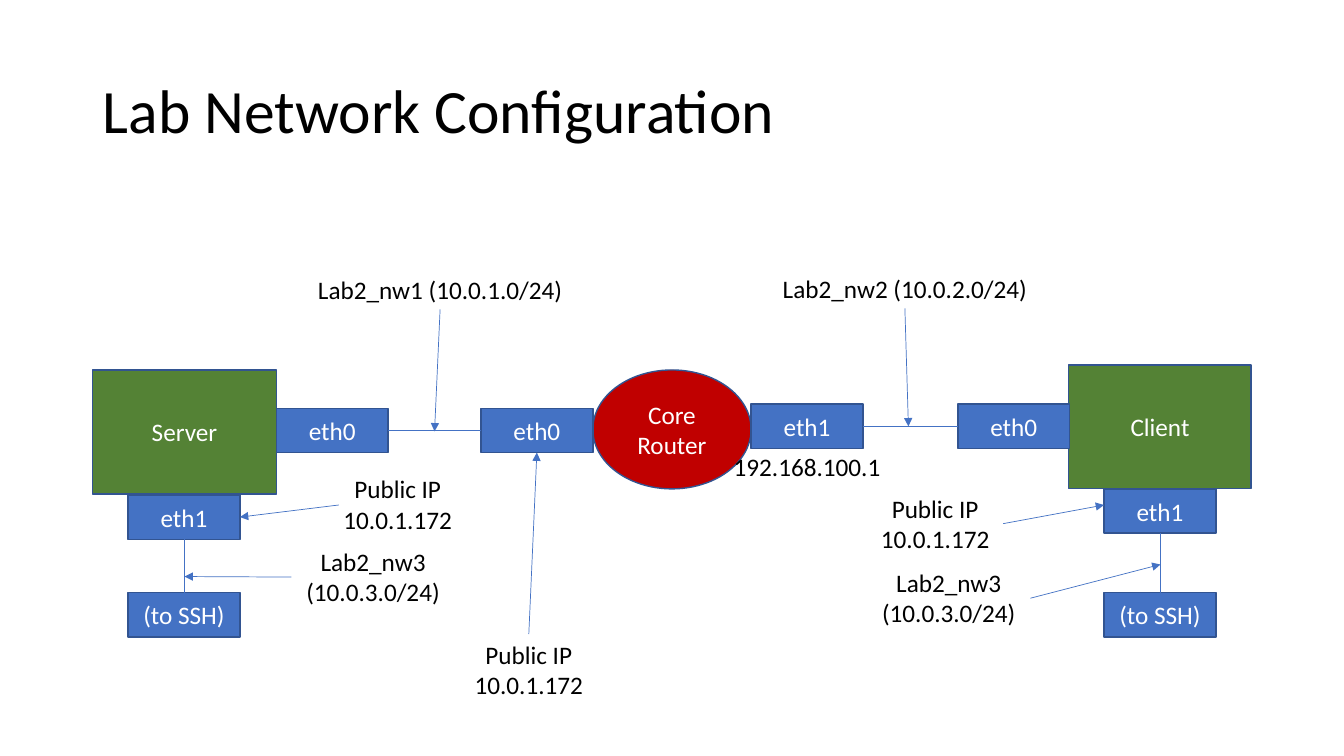
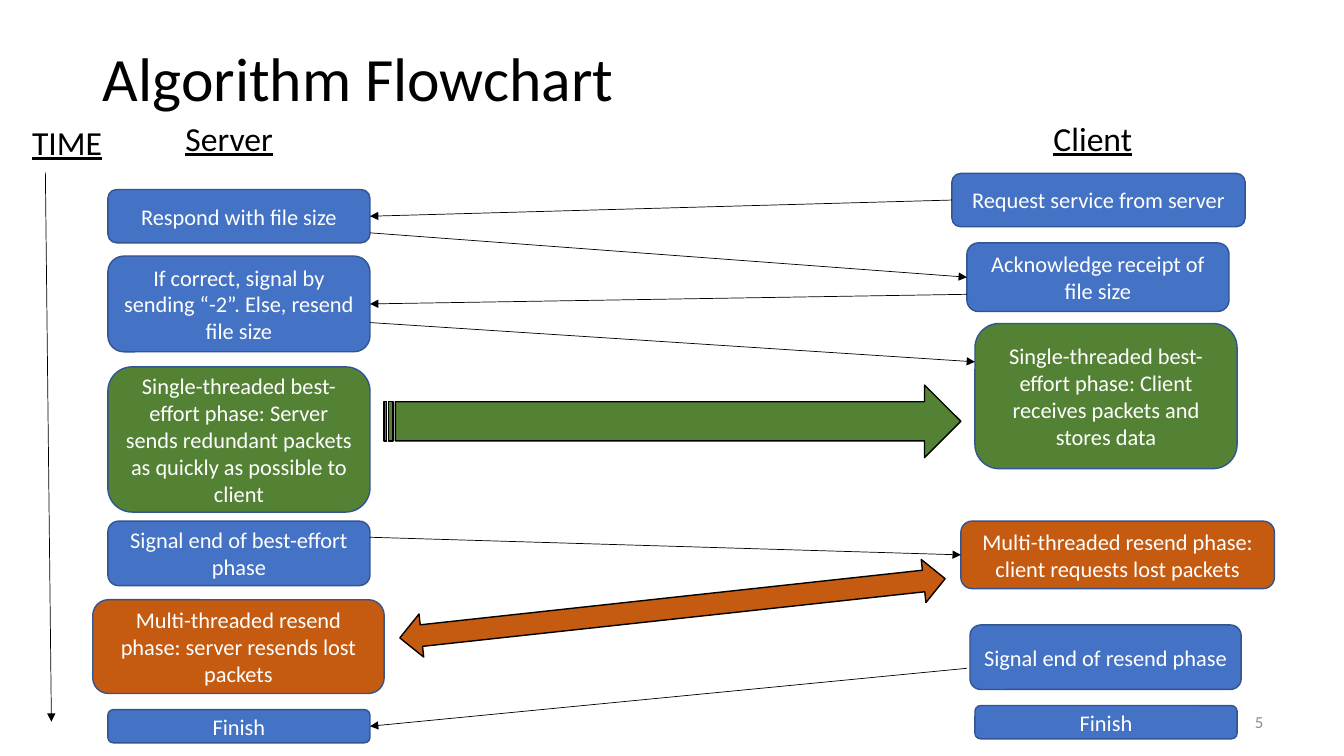
"""Builds two slides: a lab network diagram and a transfer flowchart."""
import lxml.etree
import pptx
import pptx.dml.color
import pptx.enum.shapes
import pptx.enum.text
import pptx.oxml.ns
import pptx.shapes.base
import pptx.util

Inches, Pt = pptx.util.Inches, pptx.util.Pt
KIND = pptx.enum.shapes.MSO_SHAPE
ALIGN = pptx.enum.text.PP_ALIGN
ANCHOR = pptx.enum.text.MSO_ANCHOR
FIT = pptx.enum.text.MSO_AUTO_SIZE
BLUE, GREEN, ORANGE, RED = "4472C4", "548235", "C55A11", "C00000"
EDGE, BLACK, WHITE, GREY = "325491", "000000", "FFFFFF", "8C8C8C"
FACE = "Calibri"
TOP, LEFT, BOTTOM, RIGHT = range(4)


def paint(color, code):
    """Set a colour format from a hex string."""
    color.rgb = pptx.dml.color.RGBColor.from_string(code)


def put(target, values):
    """Set each named value on the target."""
    for name, value in values.items():
        setattr(target, name, value)


def place(at):
    """Turn left, top, width and height into lengths."""
    return [Inches(side) for side in at]


def write(shape, text, size, code, align, frame, font=None, space=None):
    """Fill a shape with formatted text."""
    put(shape.text_frame, {"word_wrap": True, "text": text, **frame})
    for para in shape.text_frame.paragraphs:
        put(para, {"alignment": align, "line_spacing": space})
        for run in para.runs:
            put(run.font, {"name": FACE, "size": Pt(size), **(font or {})})
            paint(run.font.color, code)


def start(deck, text, top):
    """Add a slide with its title."""
    slide = deck.slides.add_slide(deck.slide_layouts[5])
    title = slide.shapes.title
    put(title, dict(zip(("left", "top", "width", "height"),
                        place((0.92, top, 11.5, 1.45)))))
    frame = {"vertical_anchor": ANCHOR.MIDDLE, "auto_size": FIT.NONE}
    write(title, text, 44, BLACK, ALIGN.LEFT, frame, space=0.9)
    return slide


def draw(slide, kind, at, fill, edge=EDGE):
    """Add a filled and outlined preset shape."""
    shape = slide.shapes.add_shape(kind, *place(at))
    shape.shadow.inherit = False
    shape.fill.solid()
    paint(shape.fill.fore_color, fill)
    paint(shape.line.color, edge)
    shape.line.width = Pt(1)
    return shape


def box(slide, text, at, fill=BLUE, size=18, kind=KIND.RECTANGLE):
    """Add a shape with white centred text."""
    shape = draw(slide, kind, at, fill)
    write(shape, text, size, WHITE, ALIGN.CENTER,
          {"vertical_anchor": ANCHOR.MIDDLE})
    return shape


def label(slide, text, at, size=18, align=ALIGN.CENTER, code=BLACK,
          anchor=ANCHOR.TOP, font=None):
    """Add a text box."""
    shape = slide.shapes.add_textbox(*place(at))
    write(shape, text, size, code, align, {"vertical_anchor": anchor}, font)
    return shape


def link(slide, tail, head, code=BLUE, arrow=True):
    """Join two ends, each a point or a shape with a side."""
    ends = (tail, head)
    joint = [isinstance(end[0], pptx.shapes.base.BaseShape) for end in ends]
    spots = [(0, 0) if is_joint else end for end, is_joint in zip(ends, joint)]
    line = slide.shapes.add_connector(
        pptx.enum.shapes.MSO_CONNECTOR.STRAIGHT, *place(spots[0] + spots[1]))
    joins = (line.begin_connect, line.end_connect)
    for join, end, is_joint in zip(joins, ends, joint):
        if is_joint:
            join(*end)
    paint(line.line.color, code)
    line.line.width = Pt(0.5)
    qn = pptx.oxml.ns.qn
    props = line.element.spPr
    if arrow:
        lxml.etree.SubElement(props.find(qn("a:ln")), qn("a:tailEnd"),
                              type="triangle")
    lxml.etree.SubElement(props, qn("a:effectLst"))


def network(deck):
    """Build the network diagram."""
    slide = start(deck, "Lab Network Configuration", 0.4)
    box(slide, "Core Router", (5.88, 3.67, 1.57, 1.18), RED, kind=KIND.OVAL)
    box(slide, "Server", (0.92, 3.67, 1.82, 1.23), GREEN)
    box(slide, "Client", (10.6, 3.62, 1.81, 1.23), GREEN)
    ports = [("eth0", 2.74, 4.05), ("eth0", 4.77, 4.05), ("eth1", 7.45, 4.01),
             ("eth0", 9.5, 4.01), ("eth1", 1.27, 4.91), ("eth1", 10.95, 4.85),
             ("(to SSH)", 1.27, 5.88), ("(to SSH)", 10.95, 5.88)]
    near, west, east, far, down, drop, ssh, exit_ = [
        box(slide, text, (x, y, 1.11, 0.44)) for text, x, y in ports]
    for one, side, two, face in [(near, RIGHT, west, LEFT),
                                 (east, RIGHT, far, LEFT),
                                 (down, BOTTOM, ssh, TOP),
                                 (drop, BOTTOM, exit_, TOP)]:
        link(slide, (one, side), (two, face), arrow=False)
    public, lab = "Public IP\n10.0.1.172", "Lab2_nw3 (10.0.3.0/24)"
    notes = [("Lab2_nw1 (10.0.1.0/24)", (2.74, 2.67, 3.25, 0.4)),
             ("Lab2_nw2 (10.0.2.0/24)", (7.35, 2.66, 3.25, 0.4)),
             ("192.168.100.1", (6.38, 4.43, 3.25, 0.4)),
             (public, (4.43, 6.29, 1.63, 0.71)),
             (public, (3.13, 4.65, 1.63, 0.71)),
             (public, (8.6, 4.84, 1.35, 0.71)),
             (lab, (2.89, 5.37, 1.62, 0.71)),
             (lab, (8.6, 5.58, 1.62, 0.71))]
    net, net2, _, low, _, right, lab, lab2 = [
        label(slide, text, at) for text, at in notes]
    for tail, head in [((net, BOTTOM), (4.31, 4.28)),
                       ((net2, BOTTOM), (9.01, 4.23)),
                       ((low, TOP), (west, BOTTOM)),
                       ((3.36, 5.01), (down, RIGHT)),
                       ((right, RIGHT), (10.95, 5.01)),
                       ((lab, LEFT), (1.83, 5.72)),
                       ((lab2, RIGHT), (11.51, 5.6))]:
        link(slide, tail, head)


def flow(deck):
    """Build the algorithm flowchart."""
    slide = start(deck, "Algorithm Flowchart", 0.08)
    for text, x, y in [("Client", 10.35, 1.12), ("Server", 1.74, 1.12),
                       ("TIME", 0.22, 1.16)]:
        label(slide, text, (x, y, 1.09, 0.5), 24, ALIGN.LEFT,
              font={"underline": True})
    steps = [
        ("Respond with file size", (1.07, 1.88, 2.6, 0.53), BLUE),
        ("If correct, signal by sending “-2”. Else, resend file size",
         (1.07, 2.54, 2.6, 0.95), BLUE),
        ("Single-threaded best-effort phase: Server sends redundant packets "
         "as quickly as possible to client", (1.07, 3.64, 2.6, 1.44), GREEN),
        ("Signal end of best-effort phase", (1.07, 5.17, 2.6, 0.64), BLUE),
        ("Multi-threaded resend phase: server resends lost packets",
         (0.92, 5.95, 2.89, 0.93), ORANGE),
        ("Finish", (1.07, 7.04, 2.6, 0.33), BLUE),
        ("Request service from server", (9.44, 1.72, 2.91, 0.53), BLUE),
        ("Acknowledge receipt of file size", (9.59, 2.41, 2.6, 0.68), BLUE),
        ("Single-threaded best-effort phase: Client receives packets and "
         "stores data", (9.67, 3.21, 2.6, 1.44), GREEN),
        ("Multi-threaded resend phase: client requests lost packets",
         (9.53, 5.17, 3.11, 0.67), ORANGE),
        ("Signal end of resend phase", (9.62, 6.2, 2.69, 0.64), BLUE),
        ("Finish", (9.67, 7, 2.6, 0.33), BLUE)]
    reply, check, _, _, _, done, ask, ack, _, resend, _, _ = [
        box(slide, text, at, fill, 16, KIND.ROUNDED_RECTANGLE)
        for text, at, fill in steps]
    for tail, head in [((ask, LEFT), (reply, RIGHT)),
                       ((3.67, 2.31), (ack, LEFT)),
                       ((9.59, 2.92), (check, RIGHT)),
                       ((3.67, 3.2), (9.67, 3.59)),
                       ((3.67, 5.33), (resend, LEFT)),
                       ((9.59, 6.63), (done, RIGHT)),
                       ((0.45, 1.71), (0.51, 7.16))]:
        link(slide, tail, head, BLACK)
    send = draw(slide, KIND.STRIPED_RIGHT_ARROW, (3.81, 3.82, 5.72, 0.72),
                GREEN, BLACK)
    send.adjustments[0] = 0.54
    swap = draw(slide, KIND.LEFT_RIGHT_ARROW, (3.95, 5.82, 5.44, 0.43),
                ORANGE, BLACK)
    swap.rotation = 353.8
    label(slide, "5", (9.63, 6.96, 3, 0.4), 12, ALIGN.RIGHT, GREY,
          ANCHOR.MIDDLE)


def main():
    """Build and save the deck."""
    deck = pptx.Presentation()
    put(deck, {"slide_width": Inches(13.33), "slide_height": Inches(7.5)})
    network(deck)
    flow(deck)
    deck.save("out.pptx")


if __name__ == "__main__":
    main()
